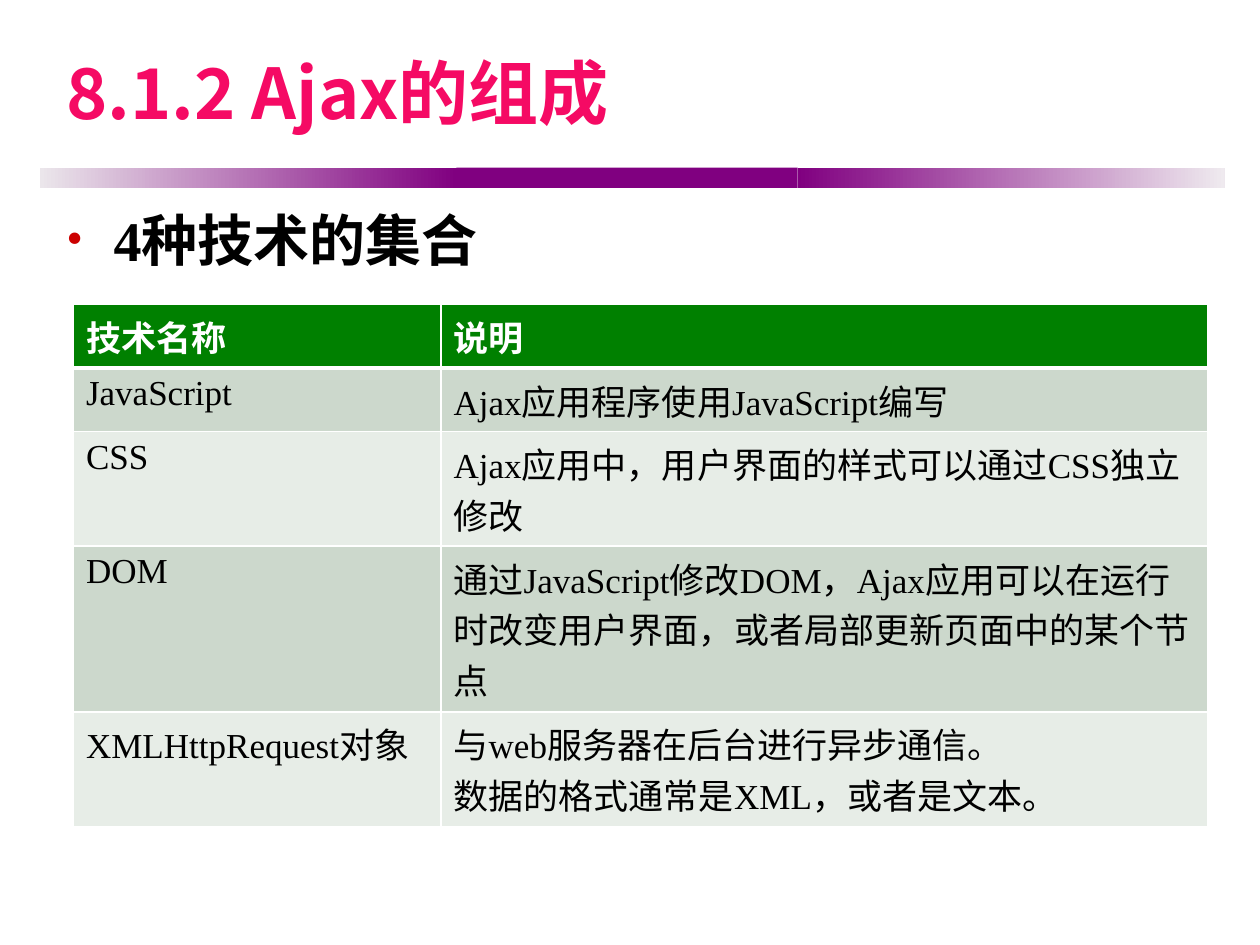
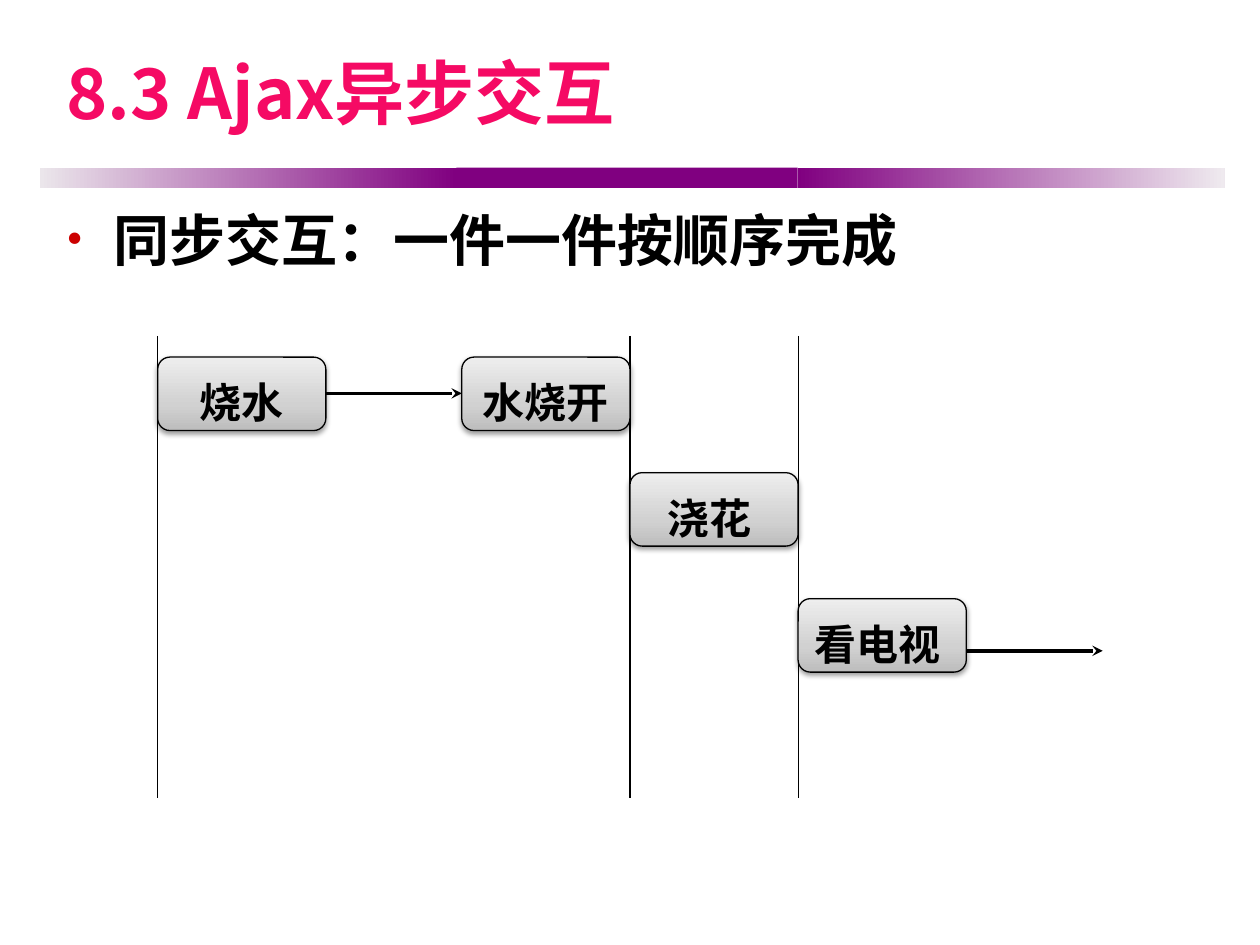
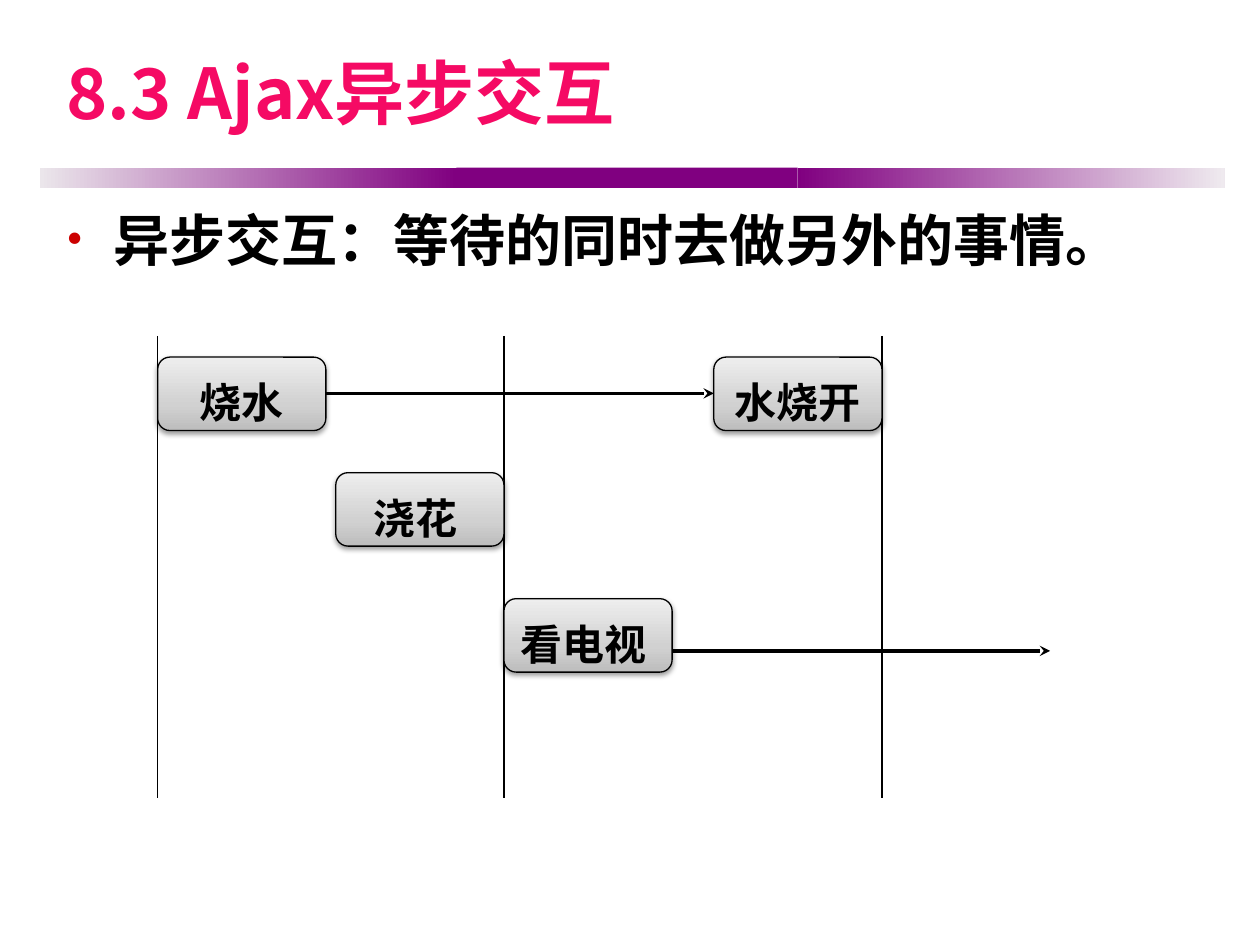
from lxml import etree
from pptx import Presentation
from pptx.dml.color import RGBColor
from pptx.enum.shapes import MSO_CONNECTOR as Connector, MSO_SHAPE as Shape
from pptx.enum.text import MSO_ANCHOR as Anchor, PP_ALIGN as Align
from pptx.oxml.ns import qn
from pptx.util import Cm, Pt

COLORS = {
    "title": "F50A64", "text": "000000", "white": "FFFFFF", "bullet": "CC0000",
    "band": "800080", "band_left": "EBE6EB", "band_right": "EFEAEF",
    "header": "008000", "row_dark": "CCD8CC", "row_light": "E7EDE7",
    "box_low": "BDBDBD", "box_mid": "D1D1D1", "box_high": "EEEEEE",
}
SANS = "Noto Sans CJK SC"
SERIF = "Times New Roman"

START = 3.18
BOX_WIDTH, BOX_HEIGHT = 3.39, 1.48
BOIL_TOP, WATER_TOP, WATCH_TOP = 7.2, 9.53, 12.07
GUIDE_TOP, GUIDE_BOTTOM = 6.77, 16.09
BOIL_ARROW, WATCH_ARROW = 7.93, 13.12

LINE_HEIGHT, CELL_MARGINS = 1.03, 0.25

# Each row: name, description, and how many lines the description takes.
TECHNOLOGIES = [
    ("技术名称", "说明", 1),
    ("JavaScript", "Ajax应用程序使用JavaScript编写", 1),
    ("CSS", "Ajax应用中，用户界面的样式可以通过CSS独立修改", 2),
    ("DOM", "通过JavaScript修改DOM，Ajax应用可以在运行时改变用户界面，"
            "或者局部更新页面中的某个节点", 3),
    ("XMLHttpRequest对象", "与web服务器在后台进行异步通信。\n"
                         "数据的格式通常是XML，或者是文本。", 2),
]


def color(name):
    """Return a named colour."""
    return RGBColor.from_string(COLORS[name])


def add_xml(parent, tag, **attributes):
    """Append a DrawingML element and return it."""
    element = etree.SubElement(parent, qn(tag))
    for name, value in attributes.items():
        element.set(name, str(value))
    return element


def style_text(paragraph, size, name="text", bold=False, latin=SERIF):
    """Set the font of a paragraph, with the sans face for Chinese."""
    font = paragraph.font
    font.size, font.bold, font.name = Pt(size), bold, latin
    font.color.rgb = color(name)
    defaults = paragraph._p.pPr.find(qn("a:defRPr"))
    add_xml(defaults, "a:ea", typeface=SANS)


def fill_gradient(shape, stops, angle=0):
    """Fill a shape with a linear gradient of (percent, colour) stops."""
    shape.fill.gradient()
    shape.fill.gradient_angle = angle
    stop_list = shape.element.spPr.find(".//" + qn("a:gsLst"))
    for stop in list(stop_list):
        stop_list.remove(stop)
    for percent, name in stops:
        stop = add_xml(stop_list, "a:gs", pos=percent * 1000)
        add_xml(stop, "a:srgbClr", val=COLORS[name])


def add_bands(page, layout):
    """Put the three-part purple rule on the layout that all slides use."""
    for holder in list(layout.placeholders)[1:]:
        holder.element.getparent().remove(holder.element)
    parts = [
        (0.81, 8.4, [(0, "band_left"), (100, "band")]),
        (9.2, 6.88, None),
        (16.08, 8.61, [(0, "band"), (100, "band_right")]),
    ]
    for left, width, stops in parts:
        band = page.shapes.add_shape(
            Shape.RECTANGLE, Cm(left), Cm(3.38), Cm(width), Cm(0.41))
        band.shadow.inherit = False
        band.line.fill.background()
        if stops:
            fill_gradient(band, stops)
        else:
            band.fill.solid()
            band.fill.fore_color.rgb = color("band")
        layout.shapes.element.append(band.element)


def add_page(deck, layout, title, point, point_height=1.47):
    """Add a slide with its title and its one bulleted line."""
    page = deck.slides.add_slide(layout)
    holder = page.shapes.title
    holder.left, holder.top = Cm(1.09), Cm(0.43)
    holder.width, holder.height = Cm(23.01), Cm(2.82)
    holder.text_frame.text = title
    holder.text_frame.vertical_anchor = Anchor.MIDDLE
    heading = holder.text_frame.paragraphs[0]
    heading.alignment = Align.LEFT
    style_text(heading, 40, "title", True, SANS)

    box = page.shapes.add_textbox(Cm(1.09), Cm(4.01), Cm(23.39), Cm(point_height))
    box.text_frame.word_wrap = True
    para = box.text_frame.paragraphs[0]
    para.text = point
    para.space_before = Pt(6.4)
    settings = para._p.get_or_add_pPr()
    settings.set("marL", str(Cm(0.95)))
    settings.set("indent", str(Cm(-0.95)))
    bullet_color = add_xml(settings, "a:buClr")
    add_xml(bullet_color, "a:srgbClr", val=COLORS["bullet"])
    add_xml(settings, "a:buSzPct", val=85000)
    add_xml(settings, "a:buFont", typeface=SERIF)
    add_xml(settings, "a:buChar", char="•")
    style_text(para, 32, bold=True)
    return page


def underline_cell(cell):
    """Give a cell a thick white bottom border."""
    properties = cell._tc.get_or_add_tcPr()
    border = add_xml(properties, "a:lnB", w=Pt(3))
    fill = add_xml(border, "a:solidFill")
    add_xml(fill, "a:srgbClr", val=COLORS["white"])
    properties.insert(0, border)


def add_technology_table(page):
    """Add the table of technologies, each row as high as its text."""
    heights = [CELL_MARGINS + lines * LINE_HEIGHT for _, _, lines in TECHNOLOGIES]
    table = page.shapes.add_table(
        len(TECHNOLOGIES), 2, Cm(1.48), Cm(6.14), Cm(22.86), Cm(sum(heights))).table
    for column, width in zip(table.columns, (7.41, 15.45)):
        column.width = Cm(width)
    for index, (name, description, _) in enumerate(TECHNOLOGIES):
        is_header = index == 0
        row = table.rows[index]
        row.height = Cm(heights[index])
        shade = "header" if is_header else ("row_light", "row_dark")[index % 2]
        for cell, text in zip(row.cells, (name, description)):
            cell.fill.solid()
            cell.fill.fore_color.rgb = color(shade)
            if is_header:
                underline_cell(cell)
            cell.text = text
            for para in cell.text_frame.paragraphs:
                para.line_spacing = 1.0
                style_text(para, 20, "white" if is_header else "text", is_header)


def add_line(page, start, end, width=0.75, arrow=False):
    """Add a straight black line, with an arrowhead at its end if asked."""
    line = page.shapes.add_connector(
        Connector.STRAIGHT, *(Cm(value) for value in start + end))
    line.line.color.rgb = color("text")
    line.line.width = Pt(width)
    if arrow:
        add_xml(line.line._get_or_add_ln(), "a:tailEnd", type="stealth")
    add_xml(line.element.spPr, "a:effectLst")


def add_task(page, text, left, top):
    """Add a grey rounded box that names one task."""
    box = page.shapes.add_shape(
        Shape.ROUNDED_RECTANGLE, Cm(left), Cm(top), Cm(BOX_WIDTH), Cm(BOX_HEIGHT))
    fill_gradient(box, [(0, "box_low"), (35, "box_mid"), (100, "box_high")], 90)
    box.line.color.rgb = color("text")
    box.line.width = Pt(0.75)
    box.shadow.inherit = False
    shadow = add_xml(box.element.spPr.find(qn("a:effectLst")), "a:outerShdw",
                     blurRad=Pt(3.1), dist=Pt(1.6), dir=5400000, rotWithShape=0)
    shade = add_xml(shadow, "a:srgbClr", val=COLORS["text"])
    add_xml(shade, "a:alpha", val=38000)
    box.text_frame.vertical_anchor = Anchor.TOP
    para = box.text_frame.paragraphs[0]
    para.text = text
    para.alignment = Align.CENTER
    para.line_spacing = 1.2
    style_text(para, 24, bold=True)


def add_timeline(page, boiled, water, watch, end):
    """Draw the tasks at their left edges, with time guides and arrows."""
    for guide in (START, boiled + BOX_WIDTH, watch):
        add_line(page, (guide, GUIDE_TOP), (guide, GUIDE_BOTTOM))
    add_line(page, (START + BOX_WIDTH, BOIL_ARROW), (boiled, BOIL_ARROW), 2, True)
    add_line(page, (watch + BOX_WIDTH, WATCH_ARROW), (end, WATCH_ARROW), 2, True)
    add_task(page, "烧水", START, BOIL_TOP)
    add_task(page, "水烧开", boiled, BOIL_TOP)
    add_task(page, "浇花 ", water, WATER_TOP)
    add_task(page, "看电视 ", watch, WATCH_TOP)


def main():
    """Build the three slides and save the deck."""
    deck = Presentation()
    deck.slide_width, deck.slide_height = Cm(25.4), Cm(19.05)
    layout = deck.slide_layouts.get_by_name("Title Only")

    page = add_page(deck, layout, "8.1.2 Ajax的组成", "4种技术的集合")
    add_bands(page, layout)
    add_technology_table(page)

    page = add_page(deck, layout, "8.3 Ajax异步交互", "同步交互：一件一件按顺序完成")
    add_timeline(page, boiled=9.31, water=12.7, watch=16.09, end=22.23)

    page = add_page(deck, layout, "8.3 Ajax异步交互",
                    "异步交互：等待的同时去做另外的事情。", 1.91)
    add_timeline(page, boiled=14.39, water=6.77, watch=10.16, end=21.17)

    deck.save("out.pptx")


main()
